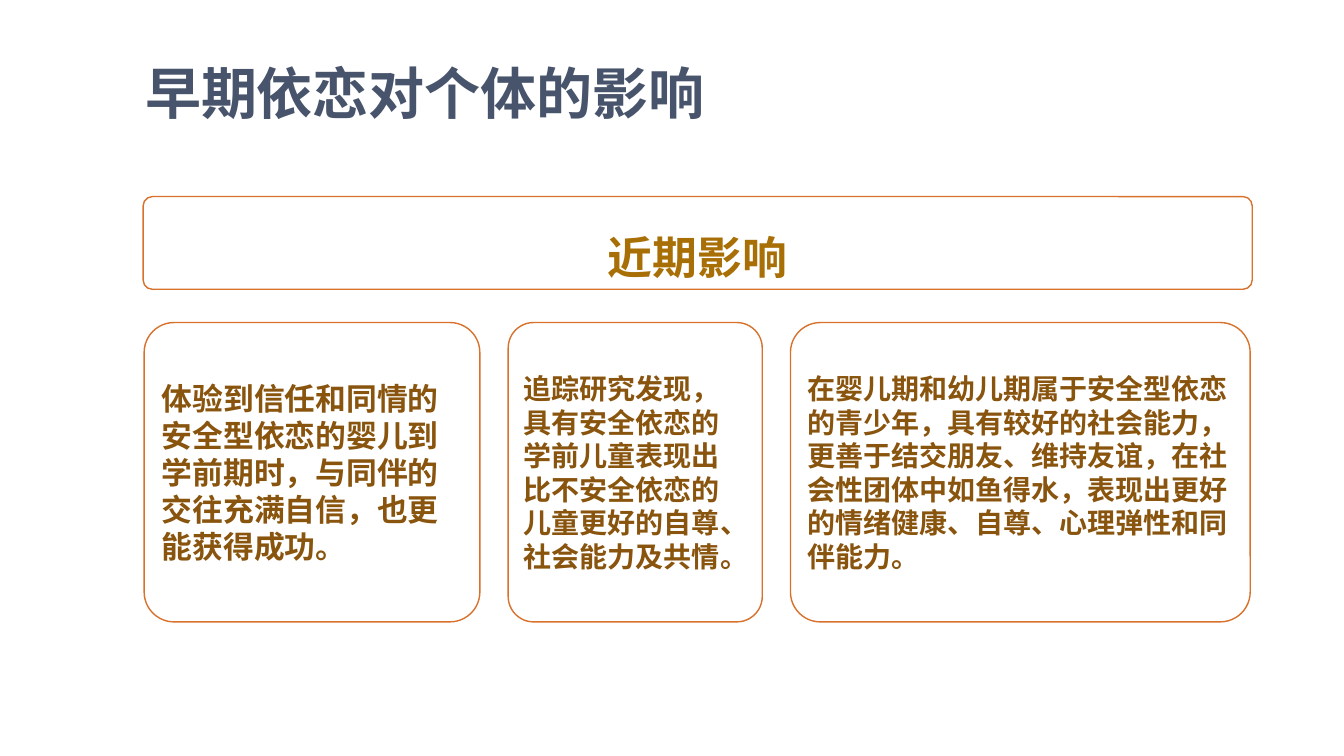
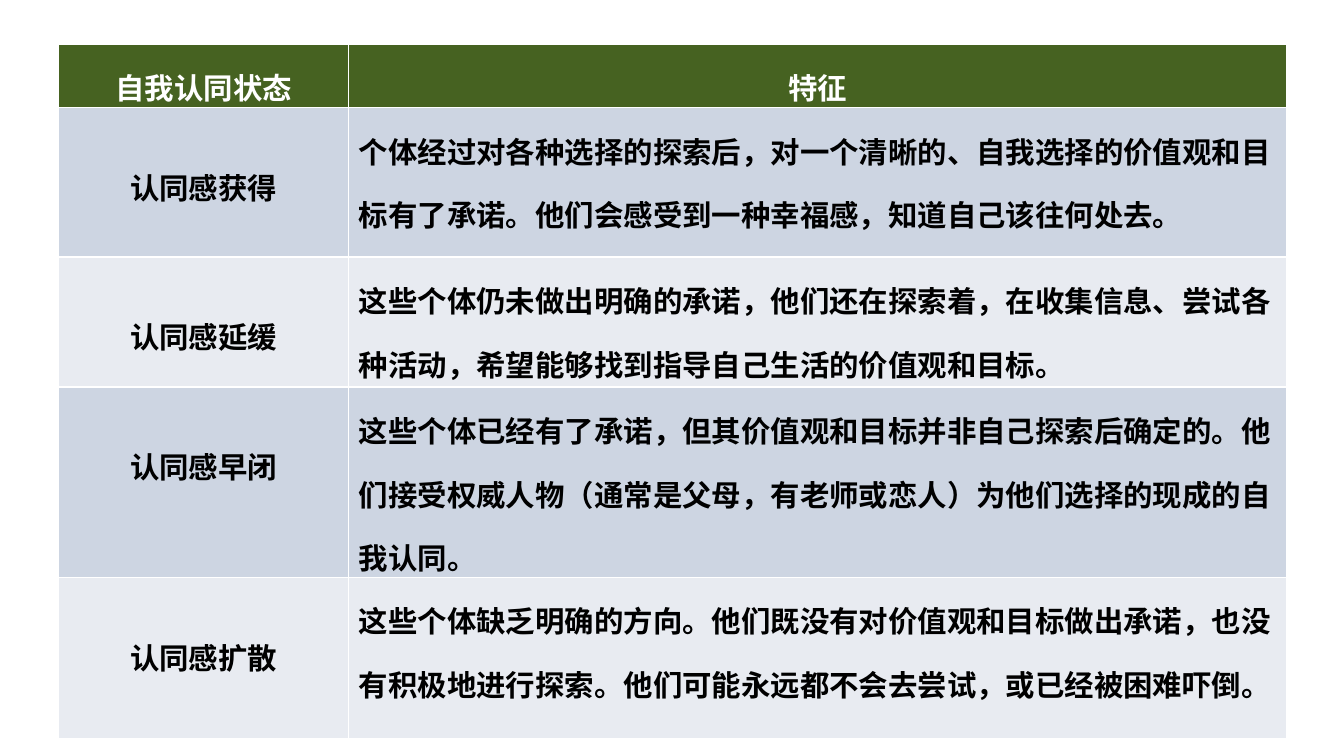
from lxml.etree import SubElement
from pptx import Presentation
from pptx.dml.color import RGBColor
from pptx.enum.shapes import MSO_SHAPE
from pptx.enum.text import MSO_ANCHOR, PP_ALIGN
from pptx.oxml.ns import qn
from pptx.util import Inches, Pt

WHITE = RGBColor(0xFF, 0xFF, 0xFF)
BLACK = RGBColor(0x00, 0x00, 0x00)
SLATE = RGBColor(0x48, 0x54, 0x6C)
ORANGE = RGBColor(0xD7, 0x71, 0x2C)
GOLD = RGBColor(0xA9, 0x6F, 0x07)
BROWN = RGBColor(0x89, 0x54, 0x0D)
GREEN = RGBColor(0x46, 0x62, 0x21)
BANDS = [RGBColor(0xCD, 0xD5, 0xE2), RGBColor(0xE8, 0xEB, 0xF1)]
HAN = "Noto Sans CJK SC"


def write(frame, text, size, color, align=PP_ALIGN.LEFT, space=1.0, face=HAN):
    """Put one bold run in a frame; face is the Latin font, HAN the Chinese."""
    frame.word_wrap = True
    para = frame.paragraphs[0]
    para.alignment = align
    para.line_spacing = space
    run = para.add_run()
    run.text = text
    run.font.size = Pt(size)
    run.font.bold = True
    run.font.name = face
    run.font.color.rgb = color
    SubElement(run.font._element, qn("a:ea")).set("typeface", HAN)


def panel(slide, left, top, width, height, inset):
    box = slide.shapes.add_shape(MSO_SHAPE.ROUNDED_RECTANGLE, Inches(left),
                                 Inches(top), Inches(width), Inches(height))
    box.adjustments[0] = 0.1
    box.shadow.inherit = False
    box.fill.solid()
    box.fill.fore_color.rgb = WHITE
    box.line.color.rgb = ORANGE
    box.line.width = Pt(1)
    frame = box.text_frame
    frame.vertical_anchor = MSO_ANCHOR.MIDDLE
    frame.margin_left = frame.margin_right = Inches(inset)
    frame.margin_top = frame.margin_bottom = Inches(inset)
    return frame


prs = Presentation()
prs.slide_width = Inches(13.33)
prs.slide_height = Inches(7.5)
blank = prs.slide_layouts[6]

# Effects of early attachment
slide = prs.slides.add_slide(blank)
title = slide.shapes.add_textbox(Inches(1.34), Inches(0.33),
                                 Inches(11.99), Inches(1.25)).text_frame
title.vertical_anchor = MSO_ANCHOR.MIDDLE
write(title, "早期依恋对个体的影响", 40, SLATE, space=0.9)

banner = panel(slide, 1.42, 1.95, 11, 0.92, 0.13)
write(banner, "近期影响", 32, GOLD, PP_ALIGN.CENTER, 1.5)

cards = [
    (3.33, 0.09, 22, "体验到信任和同情的安全型依恋的婴儿到学前期时，与同伴的交往充满自信，也更能获得成功。"),
    (2.52, 0.08, 20, "追踪研究发现，具有安全依恋的学前儿童表现出比不安全依恋的儿童更好的自尊、社会能力及共情。"),
    (4.56, 0.08, 20, "在婴儿期和幼儿期属于安全型依恋的青少年，具有较好的社会能力，更善于结交朋友、维持友谊，"
                     "在社会性团体中如鱼得水，表现出更好的情绪健康、自尊、心理弹性和同伴能力。"),
]
left, gap = 1.43, 0.28
for width, inset, size, text in cards:
    write(panel(slide, left, 3.2, width, 2.97, inset), text, size, BROWN)
    left += width + gap

# Identity states
slide = prs.slides.add_slide(blank)
rows = [
    (0.63, "自我认同状态", "特征"),
    (1.48, "认同感获得", "个体经过对各种选择的探索后，对一个清晰的、自我选择的价值观和目标有了承诺。"
                    "他们会感受到一种幸福感，知道自己该往何处去。"),
    (1.29, "认同感延缓", "这些个体仍未做出明确的承诺，他们还在探索着，在收集信息、尝试各种活动，"
                    "希望能够找到指导自己生活的价值观和目标。"),
    (1.89, "认同感早闭", "这些个体已经有了承诺，但其价值观和目标并非自己探索后确定的。"
                    "他们接受权威人物（通常是父母，有老师或恋人）为他们选择的现成的自我认同。"),
    (1.6, "认同感扩散", "这些个体缺乏明确的方向。他们既没有对价值观和目标做出承诺，也没有积极地进行探索。"
                   "他们可能永远都不会去尝试，或已经被困难吓倒。"),
]
table = slide.shapes.add_table(len(rows), 2, Inches(0.58), Inches(0.44),
                               Inches(12.18), Inches(6.89)).table
table.columns[0].width = Inches(2.88)
table.columns[1].width = Inches(9.3)

for r, (height, *texts) in enumerate(rows):
    table.rows[r].height = Inches(height)
    head = r == 0
    for c, text in enumerate(texts):
        cell = table.cell(r, c)
        label = c == 0 and not head
        cell.margin_left = cell.margin_right = Inches(0.1)
        cell.margin_top = Inches(0.36 if label else 0)
        cell.margin_bottom = 0
        align = PP_ALIGN.CENTER if head or label else PP_ALIGN.LEFT
        write(cell.text_frame, text, 21, WHITE if head else BLACK,
              align, 1.5, "Calibri")
        props = cell._tc.get_or_add_tcPr()
        for side in ("lnL", "lnR", "lnT", "lnB"):
            edge = SubElement(props, qn("a:" + side), w=str(Pt(1)))
            paint = SubElement(edge, qn("a:solidFill"))
            SubElement(paint, qn("a:srgbClr"), val=str(WHITE))
        cell.fill.solid()
        cell.fill.fore_color.rgb = GREEN if head else BANDS[(r - 1) % 2]

prs.save("out.pptx")
